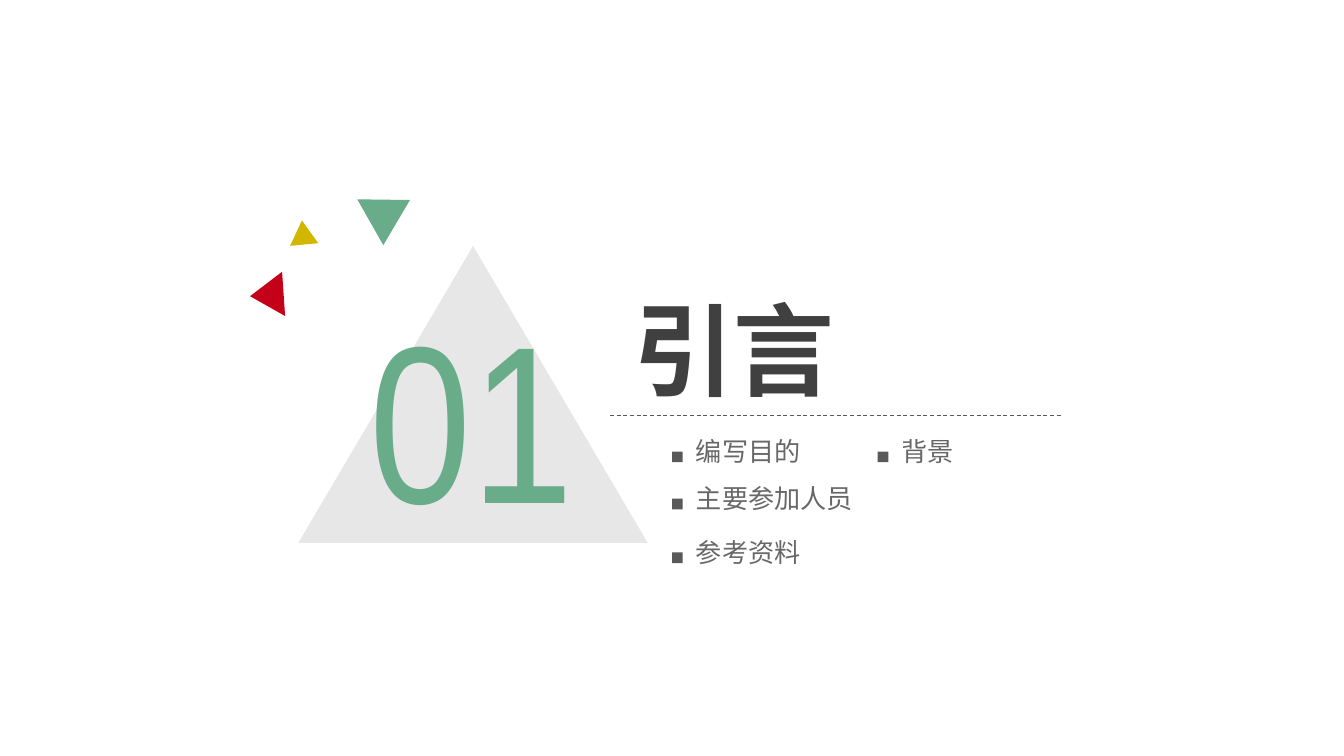
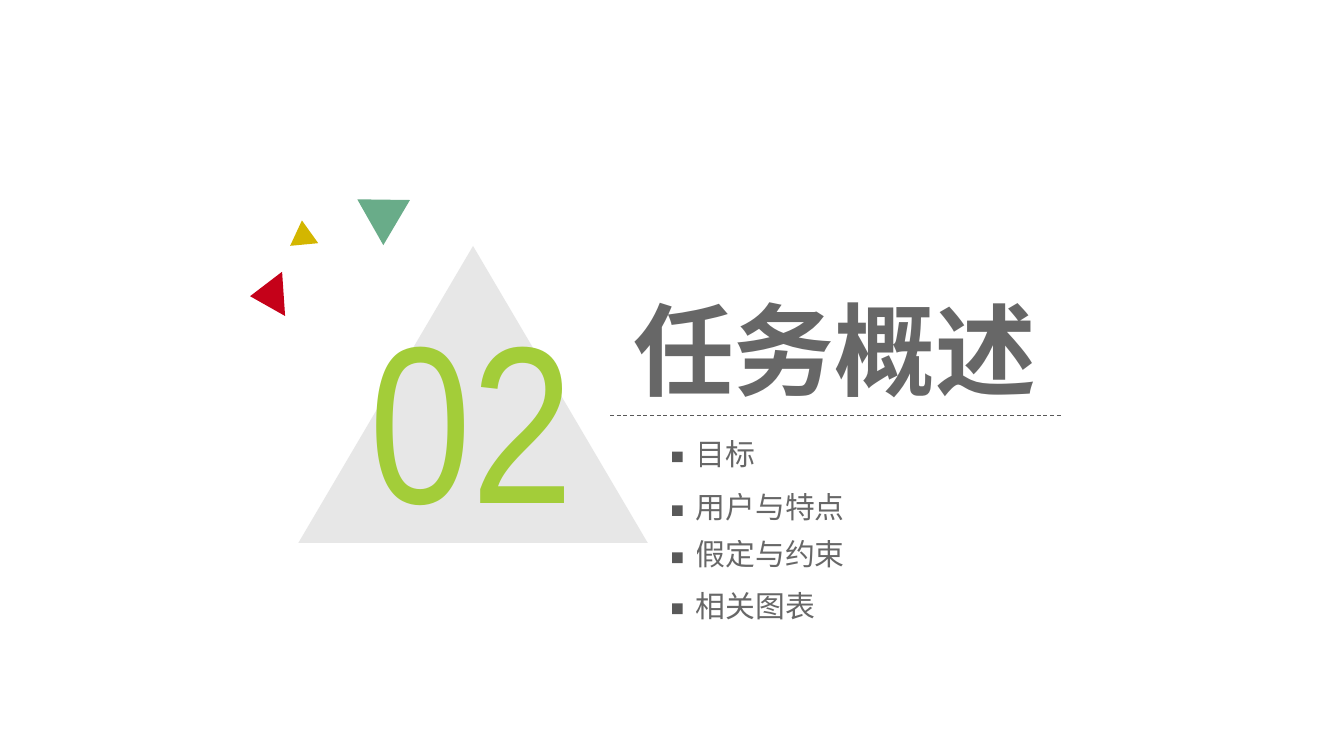
from dataclasses import dataclass

from lxml import etree
from pptx import Presentation
from pptx import util as u
from pptx.dml.color import RGBColor
from pptx.enum import dml, shapes, text
from pptx.oxml import ns

PX = 9144  # 100 px to the inch
SLIDE_W = 1000 * PX
SLIDE_H = SLIDE_W * 9 // 16

GREY = RGBColor(0x59, 0x59, 0x59)
DARK = RGBColor(0x40, 0x40, 0x40)
GREEN = RGBColor(0x69, 0xAC, 0x89)
LIME = RGBColor(0xA3, 0xCD, 0x39)
YELLOW = RGBColor(0xD3, 0xB6, 0x00)
RED = RGBColor(0xC5, 0x01, 0x19)

NUMBER_FONT = "Arial Narrow"
TEXT_FONT = "Noto Sans CJK SC"
TEXT_ALPHA = 91
BULLET_SIDE = 8

TRIANGLE = shapes.MSO_SHAPE.ISOSCELES_TRIANGLE
SQUARE = shapes.MSO_SHAPE.RECTANGLE


@dataclass(frozen=True)
class Box:
    x: int
    y: int
    w: int
    h: int

    def emu(self) -> tuple[int, ...]:
        return tuple(n * PX for n in (self.x, self.y, self.w, self.h))


@dataclass(frozen=True)
class Style:
    font: str
    size: int
    color: RGBColor
    alpha: int = 100
    bold: bool = False


@dataclass(frozen=True)
class Piece:
    """A filled preset shape."""
    box: Box
    color: RGBColor
    rotation: float = 0
    alpha: int = 100


@dataclass(frozen=True)
class Item:
    label: str
    x: int
    y: int
    w: int
    h: int


@dataclass(frozen=True)
class Section:
    number: str
    number_w: int
    number_color: RGBColor
    title: str
    title_box: Box
    title_style: Style
    item_size: int
    items: tuple[Item, ...]


BIG_TRIANGLE = Piece(Box(222, 183, 260, 221), GREY, alpha=14)
CONFETTI = (
    Piece(Box(261, 140, 39, 34), GREEN, 300.6),
    Piece(Box(215, 164, 21, 18), YELLOW, 354.7),
    Piece(Box(182, 207, 33, 25), RED, 266.1),
)

SECTIONS = (
    Section(
        "01", 175, GREEN, "引言", Box(461, 209, 171, 100),
        Style(TEXT_FONT, 54, DARK, bold=True), 14,
        (
            Item("编写目的", 500, 319, 98, 35),
            Item("背景", 653, 319, 59, 58),
            Item("主要参加人员", 500, 354, 137, 35),
            Item("参考资料", 500, 394, 98, 35),
        ),
    ),
    Section(
        "02", 195, LIME, "任务概述", Box(461, 209, 320, 106),
        Style(TEXT_FONT, 54, GREY, TEXT_ALPHA, True), 16,
        (
            Item("目标", 500, 319, 64, 39),
            Item("用户与特点", 500, 359, 131, 39),
            Item("假定与约束", 500, 394, 131, 39),
            Item("相关图表", 500, 432, 109, 39),
        ),
    ),
)


def set_alpha(element, percent: int) -> None:
    """Make the solid colours inside an element partly transparent."""
    if percent < 100:
        for color in element.iter(ns.qn("a:srgbClr")):
            etree.SubElement(color, ns.qn("a:alpha")).set("val", str(percent * 1000))


def write(sp, words: str, style: Style) -> None:
    tf = sp.text_frame
    frame = {
        "word_wrap": False,
        "auto_size": text.MSO_AUTO_SIZE.SHAPE_TO_FIT_TEXT,
        "vertical_anchor": text.MSO_ANCHOR.TOP,
    }
    for name, value in frame.items():
        setattr(tf, name, value)
    p = tf.paragraphs[0]
    p.alignment = text.PP_ALIGN.LEFT
    r = p.add_run()
    r.text = words
    font = {"name": style.font, "size": u.Pt(style.size), "bold": style.bold}
    for name, value in font.items():
        setattr(r.font, name, value)
    r.font.color.rgb = style.color
    r_pr = r.font._element
    set_alpha(r_pr, style.alpha)
    r_pr.find(ns.qn("a:latin")).addnext(
        etree.Element(ns.qn("a:ea"), typeface=style.font))


def add_text(parent, box: Box, words: str, style: Style) -> None:
    write(parent.add_textbox(*box.emu()), words, style)


def add_piece(parent, kind, piece: Piece) -> None:
    sp = parent.add_shape(kind, *piece.box.emu())
    sp.shadow.inherit = False
    sp.rotation = piece.rotation
    sp.fill.solid()
    sp.fill.fore_color.rgb = piece.color
    sp.line.fill.background()
    set_alpha(sp._element.spPr, piece.alpha)


def add_title(s, section: Section) -> None:
    sp = s.shapes.title
    for name, value in zip(("left", "top", "width", "height"), section.title_box.emu()):
        setattr(sp, name, value)
    write(sp, section.title, section.title_style)
    sp.text_frame.margin_right = 0  # keeps the title on one line


def add_rule(s) -> None:
    """Draw the dashed line under the title."""
    line = s.shapes.add_connector(
        shapes.MSO_CONNECTOR.STRAIGHT, 454 * PX, 309 * PX, 791 * PX, 309 * PX)
    line.line.color.rgb = GREY
    line.line.width = u.Pt(0.5)
    line.line.dash_style = dml.MSO_LINE.DASH
    etree.SubElement(line._element.spPr, ns.qn("a:effectLst"))


def add_item(s, item: Item, size: int) -> None:
    """Group a square bullet with the label to its right."""
    group = s.shapes.add_group_shape().shapes
    bullet = Box(item.x, item.y + 17, BULLET_SIDE, BULLET_SIDE)
    add_piece(group, SQUARE, Piece(bullet, GREY))
    label = Box(item.x + BULLET_SIDE, item.y, item.w, item.h)
    add_text(group, label, item.label, Style(TEXT_FONT, size, GREY, TEXT_ALPHA))


def add_section(prs, section: Section) -> None:
    s = prs.slides.add_slide(prs.slide_layouts[5])
    add_piece(s.shapes, TRIANGLE, BIG_TRIANGLE)
    add_text(s.shapes, Box(265, 203, section.number_w, 212), section.number,
             Style(NUMBER_FONT, 120, section.number_color))
    add_title(s, section)
    add_rule(s)
    for item in section.items:
        add_item(s, item, section.item_size)
    for piece in CONFETTI:
        add_piece(s.shapes, TRIANGLE, piece)


def main() -> None:
    prs = Presentation()
    prs.slide_width, prs.slide_height = SLIDE_W, SLIDE_H
    for section in SECTIONS:
        add_section(prs, section)
    prs.save("out.pptx")


if __name__ == "__main__":
    main()
